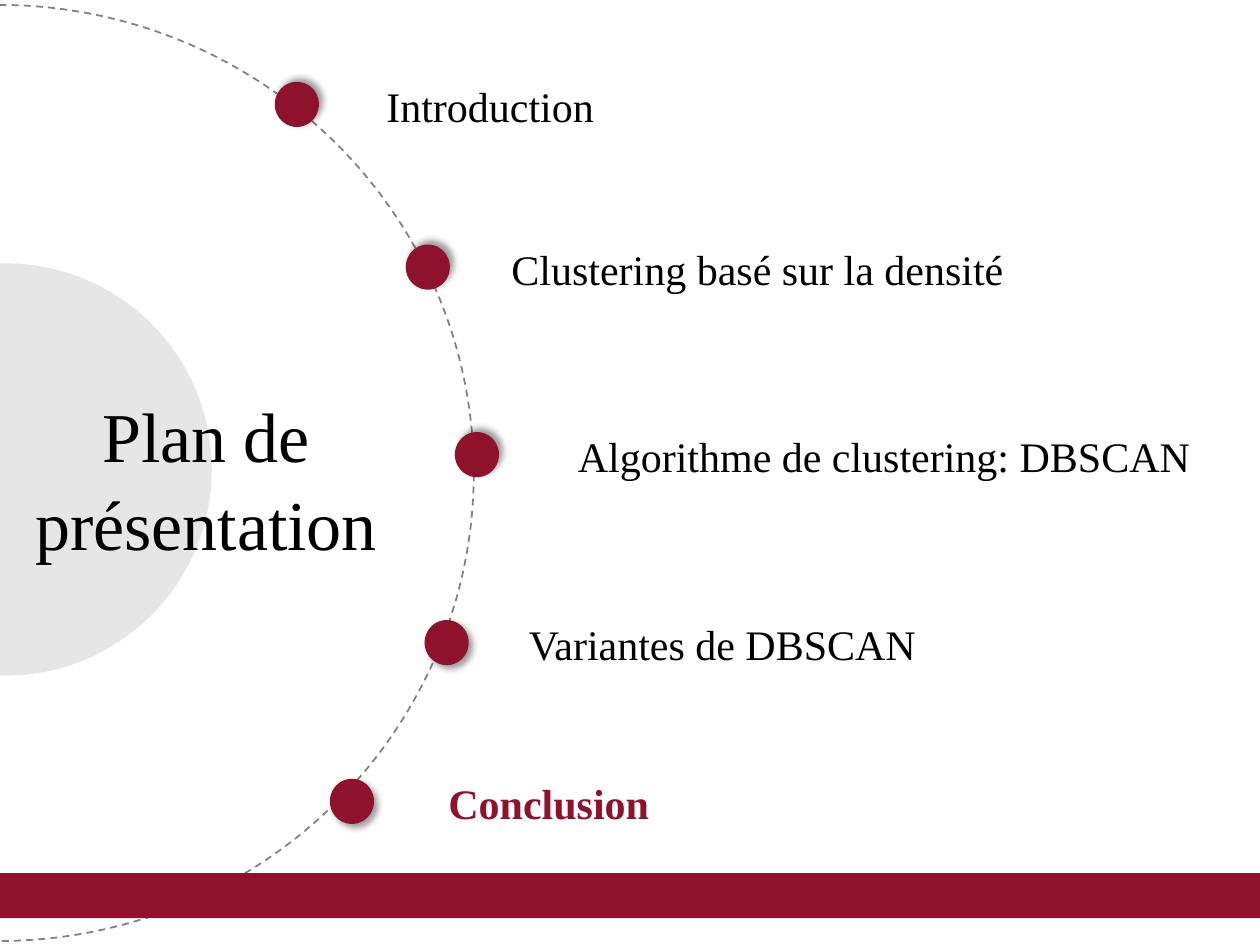
"""Build the agenda slide: five topics along a dashed arc, the last one highlighted."""
from dataclasses import dataclass

from lxml.etree import SubElement
from pptx import Presentation
from pptx.dml.color import RGBColor
from pptx.enum.dml import MSO_LINE
from pptx.enum.shapes import MSO_SHAPE
from pptx.enum.text import MSO_ANCHOR, MSO_AUTO_SIZE, PP_ALIGN
from pptx.oxml.ns import qn
from pptx.util import Cm, Pt


@dataclass(frozen=True)
class Theme:
    accent: RGBColor = RGBColor.from_string("8E122C")
    disc: RGBColor = RGBColor.from_string("E7E6E6")
    arc: RGBColor = RGBColor.from_string("808080")
    text: RGBColor = RGBColor.from_string("000000")
    font: str = "Times New Roman"
    title_size: Pt = Pt(40)
    label_size: Pt = Pt(24)


def add_filled(s, kind, box, color):
    sp = s.shapes.add_shape(kind, *map(Cm, box))
    sp.shadow.inherit = False
    sp.line.fill.background()
    if color is None:
        sp.fill.background()
    else:
        sp.fill.solid()
        sp.fill.fore_color.rgb = color
    return sp


def set_text(sp, text, size, color, align, bold=False):
    tf = sp.text_frame
    tf.word_wrap = True
    tf.auto_size = MSO_AUTO_SIZE.NONE
    tf.vertical_anchor = MSO_ANCHOR.TOP
    tf.text = text
    p = tf.paragraphs[0]
    p.alignment = align
    p.line_spacing = 1.05
    font = p.runs[0].font
    font.name, font.size, font.bold = theme.font, size, bold
    font.color.rgb = color


theme = Theme()
prs = Presentation()
prs.slide_width, prs.slide_height = Cm(25.4), Cm(19.05)
s = prs.slides.add_slide(prs.slide_layouts[5])

add_filled(s, MSO_SHAPE.OVAL, (-4.04, 5.31, 8.31, 8.31), theme.disc)
arc = add_filled(s, MSO_SHAPE.OVAL, (-9.6, 0.1, 19.15, 18.87), None)
arc.line.color.rgb = theme.arc
arc.line.width = Pt(1)
arc.line.dash_style = MSO_LINE.DASH

topics = [
    ("Introduction", 5.54, 1.65, 7.54, 8.89, 315),
    ("Clustering basé sur la densité", 8.18, 4.93, 10.06, 14.1, 315),
    ("Algorithme de clustering: DBSCAN", 9.17, 8.71, 11.4, 12.93, 315),
    ("Variantes de DBSCAN", 8.56, 12.5, 10.41, 8.89, 45),
    ("Conclusion", 6.65, 15.7, 8.79, 8.89, 45),
]
current = "Conclusion"

for text, dot_left, top, label_left, width, angle in topics:
    dot = add_filled(s, MSO_SHAPE.OVAL, (dot_left, top, 0.89, 0.91), theme.accent)
    effects = dot.element.spPr.find(qn("a:effectLst"))
    shadow = SubElement(effects, qn("a:outerShdw"), blurRad=str(Pt(4)), dist=str(Pt(3)),
                        dir=str(angle * 60000), algn="ctr", rotWithShape="0")
    black = SubElement(shadow, qn("a:srgbClr"), val="000000")
    SubElement(black, qn("a:alpha"), val="40000")

    label = s.shapes.add_textbox(Cm(label_left), Cm(top - 0.2), Cm(width), Cm(1.27))
    active = text == current
    color = theme.accent if active else theme.text
    set_text(label, text, theme.label_size, color, PP_ALIGN.LEFT, active)

add_filled(s, MSO_SHAPE.RECTANGLE, (-0.05, 17.6, 25.45, 0.91), theme.accent)

title = s.shapes.title
title.left, title.top, title.width, title.height = map(Cm, (0, 7.7, 8.31, 3.68))
set_text(title, "Plan de présentation", theme.title_size, theme.text, PP_ALIGN.CENTER)
title.element.getparent().append(title.element)

prs.save("out.pptx")
